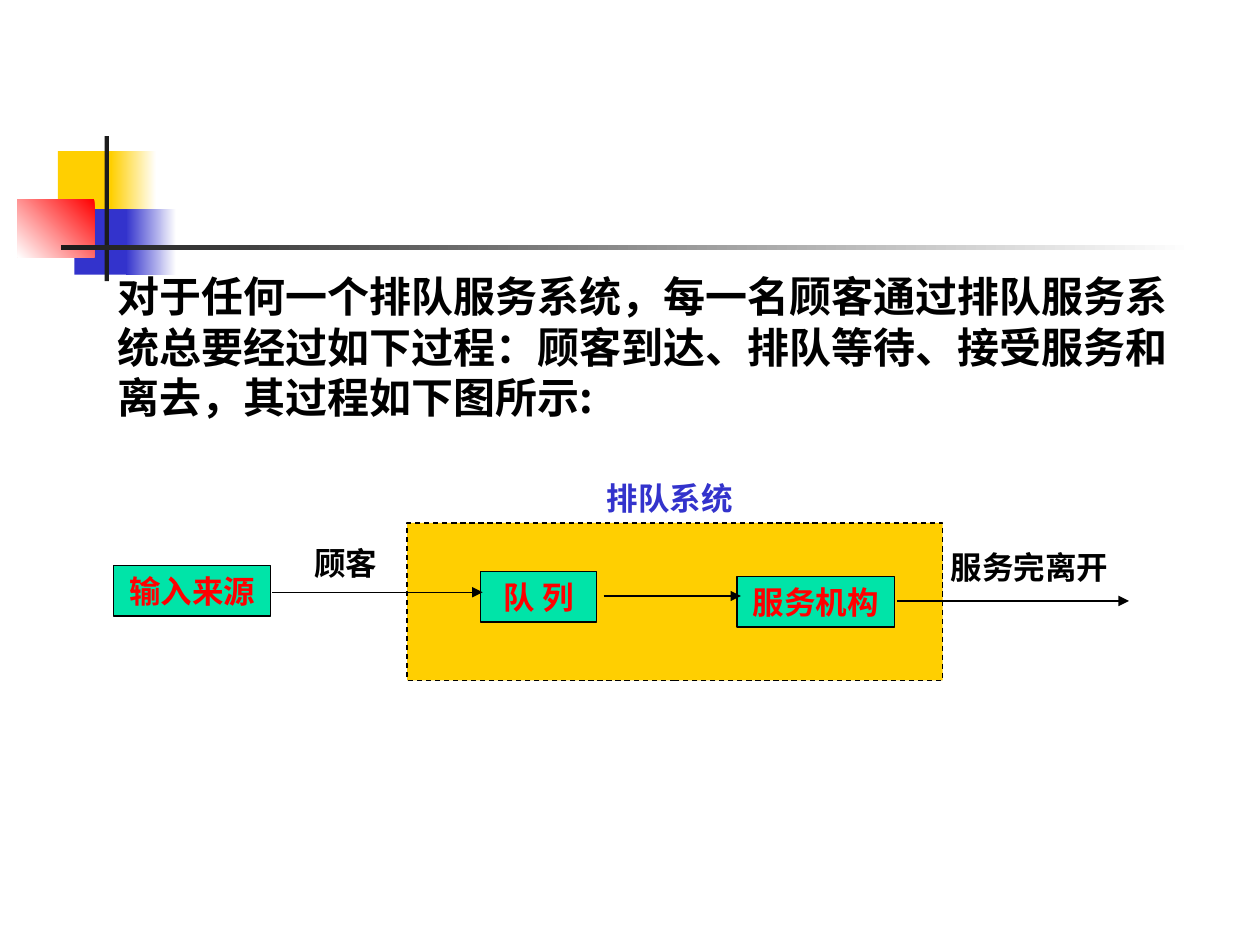
from pptx import Presentation
from pptx.dml.color import RGBColor
from pptx.enum.dml import MSO_LINE
from pptx.enum.shapes import MSO_CONNECTOR, MSO_SHAPE
from pptx.enum.text import MSO_ANCHOR, MSO_AUTO_SIZE, PP_ALIGN
from pptx.oxml.ns import qn
from pptx.util import Pt
from lxml.etree import SubElement

YELLOW, BLUE, RED, GREEN = "FFCF01", "3333CC", "FF0000", "00E4A8"
BLACK, DARK, WHITE = "000000", "1C1C1C", "FFFFFF"


def color(hex_string):
    return RGBColor.from_string(hex_string)


class SlideBuilder:
    """Holds the current slide and the style shared by its elements."""

    font = "Lato"
    body_font = "Noto Sans CJK SC"
    label_size = 18
    label_height = 28.8
    line_width = 0.75

    def __init__(self, slide):
        self.slide = slide

    def block(self, left, top, width, height, fill=None, gradient=None, angle=180, line=None, dash=None):
        """Add a rectangle; a gradient is a pair of colours, its angle is counter-clockwise."""
        box = self.slide.shapes.add_shape(
            MSO_SHAPE.RECTANGLE, Pt(left), Pt(top), Pt(width), Pt(height))
        box.shadow.inherit = False
        if gradient:
            box.fill.gradient()
            box.fill.gradient_angle = angle
            for stop, stop_color in zip(box.fill.gradient_stops, gradient):
                stop.color.rgb = color(stop_color)
        else:
            box.fill.solid()
            box.fill.fore_color.rgb = color(fill)
        if line:
            box.line.color.rgb = color(line)
            box.line.width = Pt(self.line_width)
            box.line.dash_style = dash
        else:
            box.line.fill.background()
        return box

    def set_text(self, box, text, text_color, size, font, align, space_before):
        frame = box.text_frame
        frame.word_wrap = True
        frame.auto_size = MSO_AUTO_SIZE.SHAPE_TO_FIT_TEXT
        frame.vertical_anchor = MSO_ANCHOR.TOP
        para = frame.paragraphs[0]
        para.text = text
        para.alignment = align
        para.space_before = Pt(space_before)
        para.font.size = Pt(size)
        para.font.bold = True
        para.font.color.rgb = color(text_color)
        para.font.name = font
        properties = para._p.pPr.find(qn("a:defRPr"))
        SubElement(properties, qn("a:ea"), typeface=self.font)

    def text_box(self, left, top, width, height):
        return self.slide.shapes.add_textbox(Pt(left), Pt(top), Pt(width), Pt(height))

    def body(self, text, left, top, width, height):
        box = self.text_box(left, top, width, height)
        self.set_text(box, text, BLACK, 24, self.body_font, PP_ALIGN.LEFT, 6)

    def set_label(self, box, text, text_color):
        self.set_text(box, text, text_color, self.label_size, self.font, PP_ALIGN.CENTER, 11.2)

    def label(self, text, left, top, width, text_color=BLACK):
        self.set_label(self.text_box(left, top, width, self.label_height), text, text_color)

    def node(self, text, left, top, width):
        box = self.block(left, top, width, self.label_height, GREEN, line=BLACK)
        self.set_label(box, text, RED)

    def arrow(self, start, end, y):
        arrow = self.slide.shapes.add_connector(
            MSO_CONNECTOR.STRAIGHT, Pt(start), Pt(y), Pt(end), Pt(y))
        arrow.line.color.rgb = color(BLACK)
        arrow.line.width = Pt(self.line_width)
        properties = arrow._element.spPr
        SubElement(properties.find(qn("a:ln")), qn("a:tailEnd"), type="triangle")
        SubElement(properties, qn("a:effectLst"))


def add_ornament(builder):
    builder.block(33.1, 86.4, 34.6, 37.4, YELLOW)
    builder.block(63.4, 86.4, 25.9, 37.4, gradient=(WHITE, YELLOW))
    builder.block(42.5, 119.5, 33.1, 37.4, BLUE)
    builder.block(72, 119.5, 28.8, 37.4, gradient=(WHITE, BLUE))
    builder.block(10, 113.8, 44, 33.1, gradient=(RED, WHITE), angle=225)
    builder.block(59.8, 77.8, 2.4, 82.8, DARK)
    builder.block(34.6, 140.2, 648, 2.4, gradient=(WHITE, DARK))


def add_queue_diagram(builder):
    builder.block(232.6, 298.8, 306, 90, YELLOW, line=BLACK, dash=MSO_LINE.DASH)
    builder.node("输入来源", 64.8, 323.3, 90)
    builder.node("队 列", 274.7, 326.6, 66.2)
    builder.node("服务机构", 421.2, 329.6, 90)
    builder.label("排队系统", 322.6, 270, 120.2, BLUE)
    builder.arrow(155.5, 275.8, 338.4)
    builder.label("顾客", 155.5, 307.4, 84.2)
    builder.arrow(344.9, 423.4, 340.6)
    builder.label("服务完离开", 519.1, 309.6, 138.2)
    builder.arrow(512.6, 645.1, 343.4)


def main():
    deck = Presentation()
    deck.slide_width, deck.slide_height = Pt(720), Pt(540)
    builder = SlideBuilder(deck.slides.add_slide(deck.slide_layouts[6]))
    add_ornament(builder)
    builder.body(
        "对于任何一个排队服务系统，每一名顾客通过排队服务系统总要经过如下过程："
        "顾客到达、排队等待、接受服务和离去，其过程如下图所示:",
        59.8, 151.2, 635, 93.6)
    add_queue_diagram(builder)
    deck.save("out.pptx")


if __name__ == "__main__":
    main()
